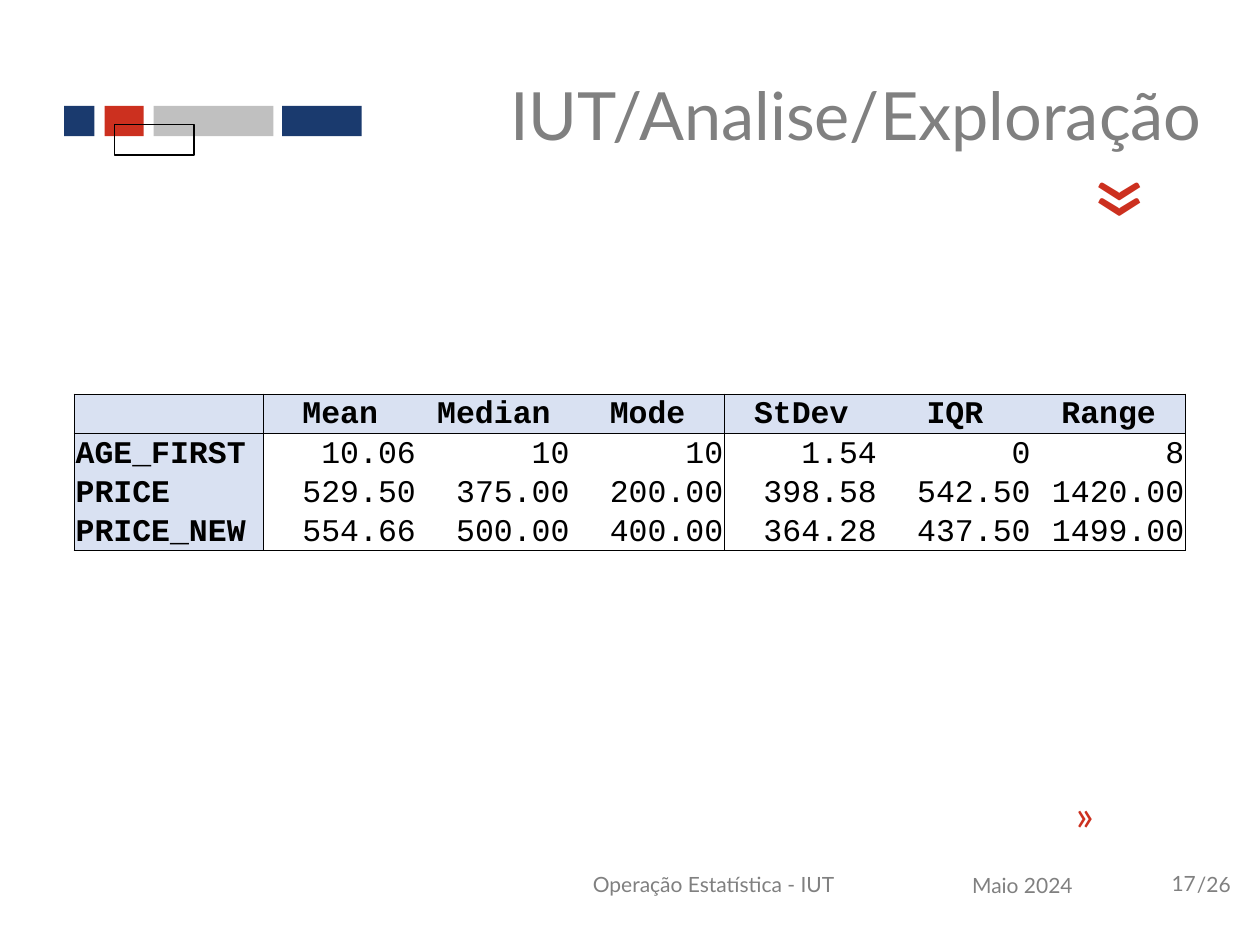
from pptx import Presentation
from pptx.dml.color import RGBColor
from pptx.enum.shapes import MSO_SHAPE as Shape
from pptx.enum.text import MSO_ANCHOR as Anchor, MSO_AUTO_SIZE as Auto, PP_ALIGN as Align
from pptx.oxml import parse_xml
from pptx.oxml.ns import nsdecls
from pptx.util import Inches, Pt

NAVY = RGBColor(0x1A, 0x3A, 0x6E)
RED = RGBColor(0xCC, 0x30, 0x1F)
SILVER = RGBColor(0xC0, 0xC0, 0xC0)
GREY = RGBColor(0x80, 0x80, 0x80)
BLACK = RGBColor(0, 0, 0)
PALE = RGBColor(0xD9, 0xE1, 0xF2)

BARS = [(0.51, 0.24, NAVY), (0.83, 0.31, RED), (1.22, 0.95, SILVER), (2.24, 0.63, NAVY)]
ROWS = [
    ["", "Mean", "Median", "Mode", "StDev", "IQR", "Range"],
    ["AGE_FIRST", "10.06", "10", "10", "1.54", "0", "8"],
    ["PRICE", "529.50", "375.00", "200.00", "398.58", "542.50", "1420.00"],
    ["PRICE_NEW", "554.66", "500.00", "400.00", "364.28", "437.50", "1499.00"],
]
ACROSS = {0: 1, 1: 1, 4: 1}
DOWN = {0: 1, 1: 1, 4: 0.5, 7: 1}


def put(frame, text, size=12, font="Lato", color=GREY, bold=False, align=Align.LEFT):
    """Write one formatted line into a text frame."""
    line = frame.paragraphs[0]
    line.alignment = align
    run = line.add_run()
    run.text = text
    run.font.size = Pt(size)
    run.font.name = font
    run.font.bold = bold
    run.font.color.rgb = color


def add_text(slide, box, text, turn=0, anchor=Anchor.TOP, left=0.1, **style):
    """Add a wrapped text box, turned by an angle."""
    shape = slide.shapes.add_textbox(*map(Inches, box))
    shape.rotation = turn
    frame = shape.text_frame
    frame.word_wrap = True
    frame.vertical_anchor = anchor
    frame.margin_left = Inches(left)
    put(frame, text, **style)


def add_bar(slide, left, top, width, fill=None):
    """Add a filled bar, or an outlined one when no fill is given."""
    bar = slide.shapes.add_shape(
        Shape.RECTANGLE, Inches(left), Inches(top), Inches(width), Inches(0.24))
    bar.shadow.inherit = False
    if fill is None:
        bar.fill.background()
        bar.line.color.rgb = BLACK
        bar.line.width = Pt(0.75)
    else:
        bar.fill.solid()
        bar.fill.fore_color.rgb = fill
        bar.line.fill.background()


def set_edge(cell, side, width):
    """Draw one cell border, or clear it when there is no width."""
    fill = f'<a:solidFill><a:srgbClr val="{BLACK}"/></a:solidFill>' if width else "<a:noFill/>"
    cell._tc.get_or_add_tcPr().append(parse_xml(
        f'<a:ln{side} {nsdecls("a")} w="{Pt(width or 0)}">{fill}</a:ln{side}>'))


def fill_cell(cell, row, col, text):
    """Format one cell by its place in the table."""
    cell.margin_left = cell.margin_right = cell.margin_top = Inches(0.01)
    cell.margin_bottom = 0
    cell.vertical_anchor = Anchor.BOTTOM
    edges = {"L": DOWN.get(col), "R": DOWN.get(col + 1),
             "T": ACROSS.get(row), "B": ACROSS.get(row + 1)}
    for side, width in edges.items():
        set_edge(cell, side, width)
    head = row == 0 or col == 0
    if head:
        cell.fill.solid()
        cell.fill.fore_color.rgb = PALE
    else:
        cell.fill.background()
    align = Align.LEFT if col == 0 else Align.CENTER if row == 0 else Align.RIGHT
    put(cell.text_frame, text, size=18, font="Courier New", color=BLACK, bold=head, align=align)


def add_stats(slide):
    """Add the table of summary statistics."""
    table = slide.shapes.add_table(
        len(ROWS), len(ROWS[0]), Inches(0.59), Inches(3.13), Inches(8.82), Inches(1.24)).table
    for i, col in enumerate(table.columns):
        col.width = Inches(1.22 if i else 1.5)
    for r, row in enumerate(ROWS):
        for c, text in enumerate(row):
            fill_cell(table.cell(r, c), r, c, text)


def add_title(slide, text):
    """Place and format the title."""
    title = slide.shapes.title
    title.left, title.top, title.width, title.height = map(Inches, (3.03, 0.44, 6.61, 0.93))
    frame = title.text_frame
    frame.auto_size = Auto.NONE
    frame.vertical_anchor = Anchor.MIDDLE
    put(frame, text, size=38, align=Align.RIGHT)


def main():
    """Build and save the slide."""
    deck = Presentation()
    deck.slide_width, deck.slide_height = Inches(10), Inches(7.5)
    slide = deck.slides.add_slide(deck.slide_layouts[5])
    for left, width, fill in BARS:
        add_bar(slide, left, 0.84, width, fill)
    add_bar(slide, 0.91, 0.99, 0.63)
    add_text(slide, (9.1, 6.74, 0.94, 0.55), "/26", anchor=Anchor.MIDDLE, left=0.4)
    add_text(slide, (4.13, 6.74, 3.07, 0.55), "Operação Estatística - IUT",
             anchor=Anchor.MIDDLE, align=Align.CENTER)
    add_text(slide, (7.2, 6.75, 1.83, 0.55), "Maio 2024",
             anchor=Anchor.MIDDLE, align=Align.CENTER)
    add_text(slide, (8.27, 6.3, 0.51, 0.5), "«", turn=180, size=24, color=RED)
    add_text(slide, (8.5, 1.03, 0.55, 1.1), "«", turn=270, size=60, color=RED)
    add_text(slide, (9.2, 6.86, 0.44, 0.3), "17")
    add_title(slide, "IUT/Analise/Exploração")
    add_stats(slide)
    deck.save("out.pptx")


if __name__ == "__main__":
    main()
